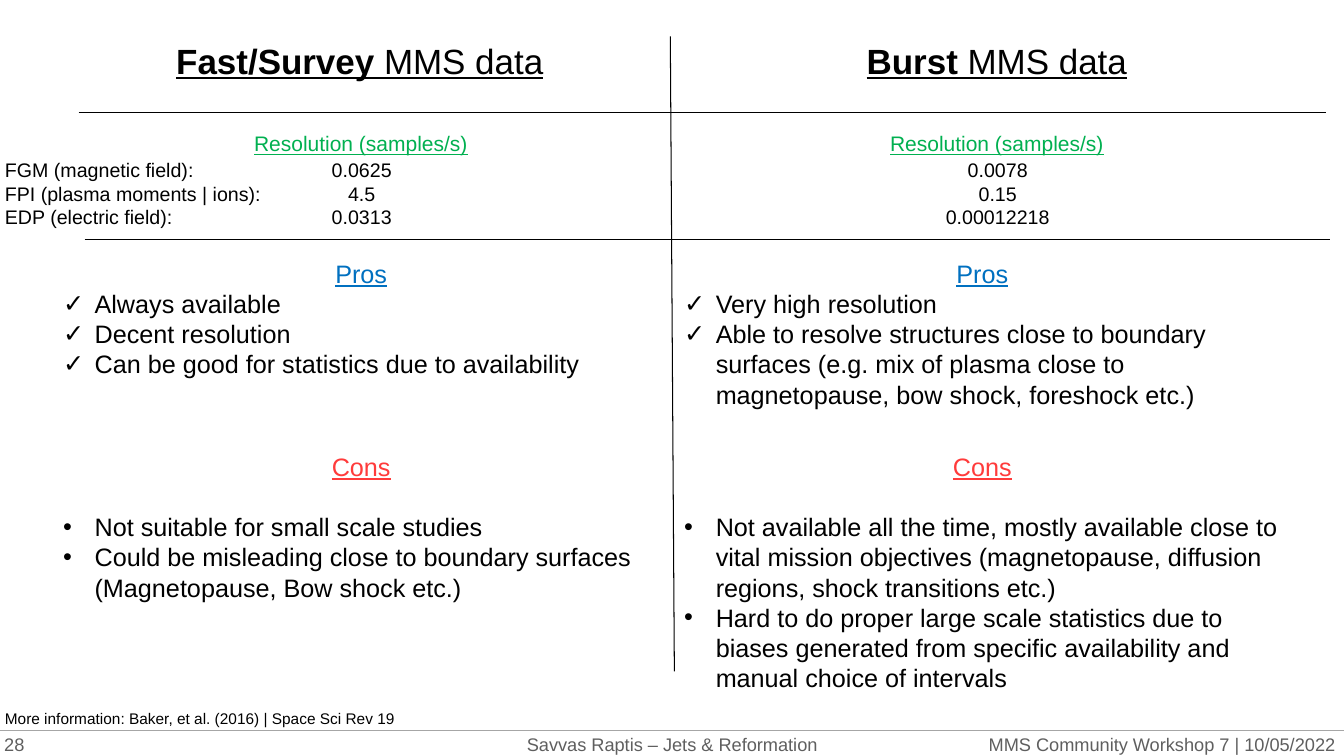
from dataclasses import dataclass

import pptx
import pptx.dml.color
import pptx.enum.shapes
import pptx.enum.text
import pptx.oxml
import pptx.oxml.ns
import pptx.util

Pt = pptx.util.Pt
ALIGN = pptx.enum.text.PP_ALIGN
ANCHOR = pptx.enum.text.MSO_ANCHOR


@dataclass(frozen=True)
class Theme:
    """Colours, type sizes and spacing of the slide."""
    font: str = "Arial"
    text: str = "000000"
    footer: str = "5F5F5F"
    footer_rule: str = "A6A6A6"
    resolution: str = "00B050"
    pros: str = "0070C0"
    cons: str = "FF3B3B"
    title_size: float = 25
    body_size: float = 18
    resolution_size: float = 15
    value_size: float = 14
    footer_size: float = 13
    source_size: float = 11
    indent: float = 22.5
    cons_gap: float = 21.6


THEME = Theme()


def add_box(slide, x, y, w, h, inset=True, anchor=ANCHOR.TOP):
    """Add an empty wrapping text box and return its text frame."""
    tf = slide.shapes.add_textbox(Pt(x), Pt(y), Pt(w), Pt(h)).text_frame
    tf.word_wrap = True
    tf.vertical_anchor = anchor
    if not inset:
        tf.margin_left = tf.margin_right = tf.margin_top = tf.margin_bottom = 0
    return tf


def add_paragraph(tf, align=ALIGN.LEFT):
    """Return the unused first paragraph of a frame, or a new one."""
    p = tf.paragraphs[0] if not tf.paragraphs[0].runs else tf.add_paragraph()
    p.alignment = align
    return p


def add_run(p, text, size, color=THEME.text, bold=False, underline=False):
    """Add one formatted run to a paragraph."""
    r = p.add_run()
    r.text = text
    r.font.name = THEME.font
    r.font.size = Pt(size)
    r.font.bold = bold
    r.font.underline = underline
    r.font.color.rgb = pptx.dml.color.RGBColor.from_string(color)


def add_bullet(p, mark):
    """Give a paragraph a hanging bullet."""
    pPr = p._p.get_or_add_pPr()
    pPr.set("marL", str(Pt(THEME.indent)))
    pPr.set("indent", str(-Pt(THEME.indent)))
    ns = pptx.oxml.ns.nsdecls("a")
    pPr.append(pptx.oxml.parse_xml(f'<a:buFont {ns} typeface="{THEME.font}"/>'))
    pPr.append(pptx.oxml.parse_xml(f'<a:buChar {ns} char="{mark}"/>'))


def add_rule(slide, x1, y1, x2, y2, color=THEME.text):
    """Add a thin straight line."""
    line = slide.shapes.add_connector(
        pptx.enum.shapes.MSO_CONNECTOR.STRAIGHT, Pt(x1), Pt(y1), Pt(x2), Pt(y2))
    line.line.width = Pt(0.75)
    line.line.color.rgb = pptx.dml.color.RGBColor.from_string(color)
    ns = pptx.oxml.ns.nsdecls("a")
    line._element.spPr.append(pptx.oxml.parse_xml(f"<a:effectLst {ns}/>"))


def add_title(slide, x, w, mode):
    """Add a column title with its data mode in bold."""
    p = add_paragraph(add_box(slide, x, 24.5, w, 37.5))
    add_run(p, mode, THEME.title_size, bold=True, underline=True)
    add_run(p, " MMS data", THEME.title_size, underline=True)


def add_lines(slide, x, y, w, h, lines, size, align=ALIGN.LEFT):
    """Add a box of plain lines."""
    tf = add_box(slide, x, y, w, h)
    for line in lines:
        add_run(add_paragraph(tf, align), line, size)


def add_resolution(slide, x, values):
    """Add the resolution heading and the centred values below it."""
    p = add_paragraph(add_box(slide, x - 2, 90, 169, 25))
    add_run(p, "Resolution (samples/s)", THEME.resolution_size,
            THEME.resolution, underline=True)
    add_lines(slide, x, 109.5, 164, 58, values, THEME.value_size, ALIGN.CENTER)


def add_points(slide, x, y, h, heading, color, mark, points, gap=0):
    """Add a coloured heading with a bulleted list below it."""
    tf = add_box(slide, x, y, 440, h)
    p = add_paragraph(tf, ALIGN.CENTER)
    add_run(p, heading, THEME.body_size, color, underline=True)
    for i, point in enumerate(points):
        p = add_paragraph(tf)
        if gap and i == 0:
            p.space_before = Pt(gap)
        add_bullet(p, mark)
        add_run(p, point, THEME.body_size)


def add_footer(slide, x, w, text, align):
    """Add one footer entry."""
    tf = add_box(slide, x, 523.4, w, 16.6, inset=False, anchor=ANCHOR.MIDDLE)
    add_run(add_paragraph(tf, align), text, THEME.footer_size, THEME.footer)


def add_column(slide, x, title_x, title_w, value_x, mode, values, pros, cons):
    """Add everything that describes one data mode."""
    add_title(slide, title_x, title_w, mode)
    add_resolution(slide, value_x, values)
    add_points(slide, x, 180.7, 138, "Pros", THEME.pros, "✓", pros)
    add_points(slide, x, 318.5, 182, "Cons", THEME.cons, "•", cons, THEME.cons_gap)


def main():
    """Build the slide and save it."""
    prs = pptx.Presentation()
    prs.slide_width, prs.slide_height = Pt(960), Pt(540)
    slide = prs.slides.add_slide(prs.slide_layouts[6])

    add_footer(slide, 0, 960, "Savvas Raptis – Jets & Reformation", ALIGN.CENTER)
    add_footer(slide, 654, 299.5, "MMS Community Workshop 7 | 10/05/2022", ALIGN.RIGHT)
    add_footer(slide, 3, 302, "28", ALIGN.LEFT)
    add_rule(slide, 0, 522, 960, 522, THEME.footer_rule)

    add_rule(slide, 478.8, 26, 481.7, 479.5)
    add_rule(slide, 56.2, 80.5, 947.5, 80.5)
    add_rule(slide, 60.5, 171.2, 949.7, 171.2)

    add_column(
        slide, 38, 118.8, 280, 176.4, "Fast/Survey", ["0.0625", "4.5", "0.0313"],
        ["Always available", "Decent resolution",
         "Can be good for statistics due to availability"],
        ["Not suitable for small scale studies",
         "Could be misleading close to boundary surfaces (Magnetopause, Bow shock etc.)"])
    add_column(
        slide, 481.7, 612, 202, 630.7, "Burst", ["0.0078", "0.15", "0.00012218"],
        ["Very high resolution",
         "Able to resolve structures close to boundary surfaces (e.g. mix of plasma "
         "close to magnetopause, bow shock, foreshock etc.)"],
        ["Not available all the time, mostly available close to vital mission "
         "objectives (magnetopause, diffusion regions, shock transitions etc.)",
         "Hard to do proper large scale statistics due to biases generated from "
         "specific availability and manual choice of intervals"])

    add_lines(slide, -3.6, 109.5, 201.6, 58,
              ["FGM (magnetic field):", "FPI (plasma moments | ions):",
               "EDP (electric field):"], THEME.value_size)
    add_lines(slide, -3.6, 502.6, 327, 21,
              ["More information: Baker, et al. (2016) | Space Sci Rev 19"],
              THEME.source_size)
    prs.save("out.pptx")


if __name__ == "__main__":
    main()
